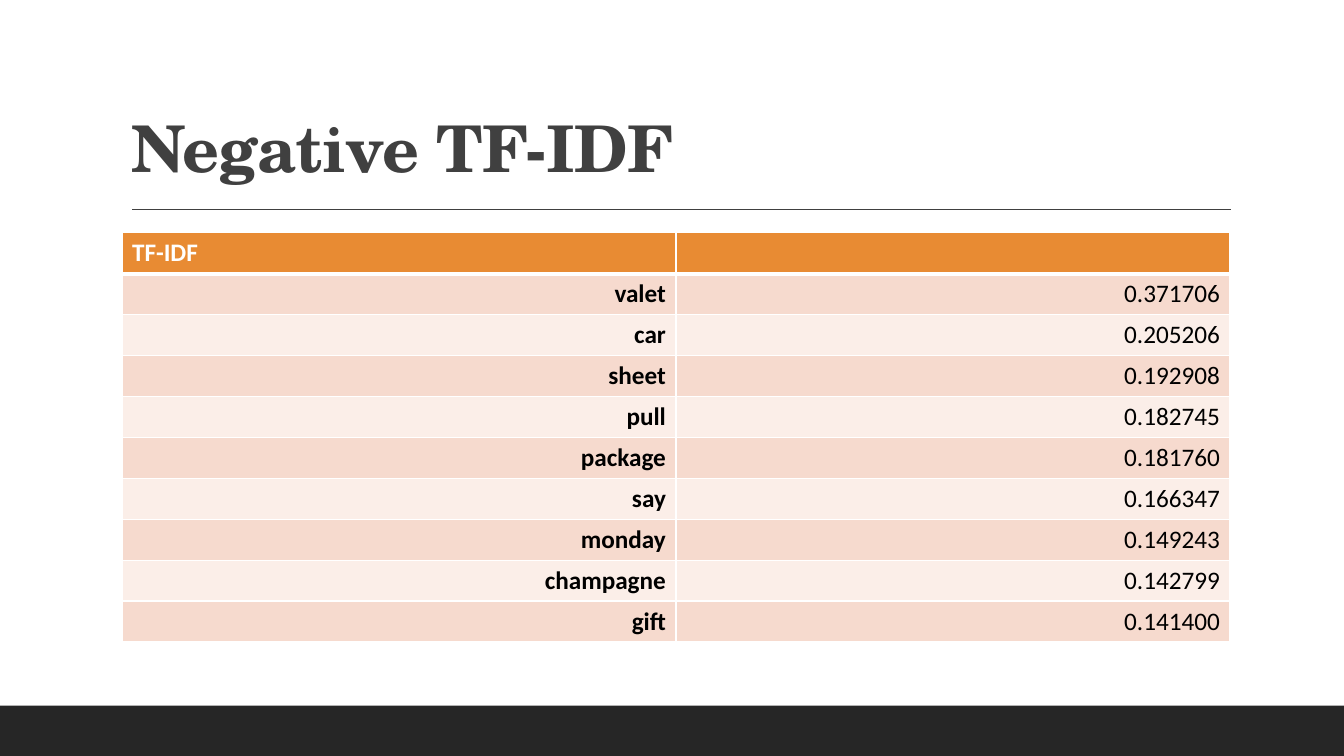
import pptx
import pptx.dml.color
import pptx.enum.shapes
import pptx.enum.text
import pptx.oxml
import pptx.oxml.ns
import pptx.util
from lxml import etree

Inches = pptx.util.Inches
Pt = pptx.util.Pt
Align = pptx.enum.text.PP_ALIGN
Anchor = pptx.enum.text.MSO_ANCHOR

WIDTH, HEIGHT = 13.33, 7.5
LEFT, SPAN = 1.2, 11
TERMS = [
    ("valet", "0.371706"),
    ("car", "0.205206"),
    ("sheet", "0.192908"),
    ("pull", "0.182745"),
    ("package", "0.181760"),
    ("say", "0.166347"),
    ("monday", "0.149243"),
    ("champagne", "0.142799"),
    ("gift", "0.141400"),
]
HEAD = "E88B33"
BANDS = ["F6DACE", "FBEEE8"]


def color(value):
    return pptx.dml.color.RGBColor.from_string(value)


def paint(item, value):
    item.fill.solid()
    item.fill.fore_color.rgb = color(value)


def add_run(para, text, font, size, hue, bold):
    run = para.add_run()
    run.text = text
    run.font.name = font
    run.font.size = Pt(size)
    run.font.bold = bold
    run.font.color.rgb = color(hue)
    return run


def add_footer(slide, left, top, width, height):
    bar = slide.shapes.add_shape(
        pptx.enum.shapes.MSO_SHAPE.RECTANGLE,
        Inches(left), Inches(top), Inches(width), Inches(height))
    bar.shadow.inherit = False
    paint(bar, "262626")
    bar.line.fill.background()


def add_title(slide, left, top, width, height):
    title = slide.shapes.title
    title.left, title.top = Inches(left), Inches(top)
    title.width, title.height = Inches(width), Inches(height)
    frame = title.text_frame
    frame.word_wrap = True
    frame.vertical_anchor = Anchor.BOTTOM
    para = frame.paragraphs[0]
    para.alignment = Align.LEFT
    para.line_spacing = 0.9
    run = add_run(para, "Negative TF-IDF", "TeX Gyre Schola", 46, "404040", True)
    run.font._element.set("spc", "-50")

    # Rule under the title
    inset, gap = 0.11, 0.18
    level = Inches(top + height + gap)
    rule = slide.shapes.add_connector(
        pptx.enum.shapes.MSO_CONNECTOR.STRAIGHT,
        Inches(left + inset), level, Inches(left + width + 0.01), level)
    rule.line.color.rgb = color("404040")
    rule.line.width = Pt(1)
    etree.SubElement(rule._element.spPr, pptx.oxml.ns.qn("a:effectLst"))


def add_border(cell, side, width):
    props = cell._tc.get_or_add_tcPr()
    props.append(pptx.oxml.parse_xml(
        f'<a:{side} {pptx.oxml.ns.nsdecls("a")} w="{int(Pt(width))}">'
        f'<a:solidFill><a:srgbClr val="FFFFFF"/></a:solidFill></a:{side}>'))


def style_cell(cell, row, fill):
    # Header and first term row share the thick edge
    for side in ("lnL", "lnR", "lnT", "lnB"):
        thick = (row, side) in ((0, "lnB"), (1, "lnT"))
        add_border(cell, side, 3 if thick else 1)
    paint(cell, fill)


def add_terms(slide, left, top, width, height):
    rows = [("TF-IDF", "")] + TERMS
    table = slide.shapes.add_table(
        len(rows), 2, Inches(left), Inches(top), Inches(width), Inches(height)).table
    for line in table.rows:
        line.height = Inches(height / len(rows))
    for r, pair in enumerate(rows):
        head = r == 0
        for c, text in enumerate(pair):
            cell = table.cell(r, c)
            style_cell(cell, r, HEAD if head else BANDS[(r - 1) % 2])
            cell.vertical_anchor = Anchor.TOP if head else Anchor.MIDDLE
            para = cell.text_frame.paragraphs[0]
            para.alignment = Align.LEFT if head else Align.RIGHT
            if text:
                add_run(para, text, "Calibri", 18,
                        "FFFFFF" if head else "000000", c == 0)


def main():
    deck = pptx.Presentation()
    deck.slide_width, deck.slide_height = Inches(WIDTH), Inches(HEIGHT)
    slide = deck.slides.add_slide(deck.slide_layouts[5])
    add_footer(slide, 0, HEIGHT - 0.5, WIDTH, 0.5)
    add_title(slide, LEFT, 0.31, SPAN, 1.59)
    add_terms(slide, LEFT + 0.01, 2.31, SPAN - 0.01, 4.06)
    deck.save("out.pptx")


if __name__ == "__main__":
    main()
